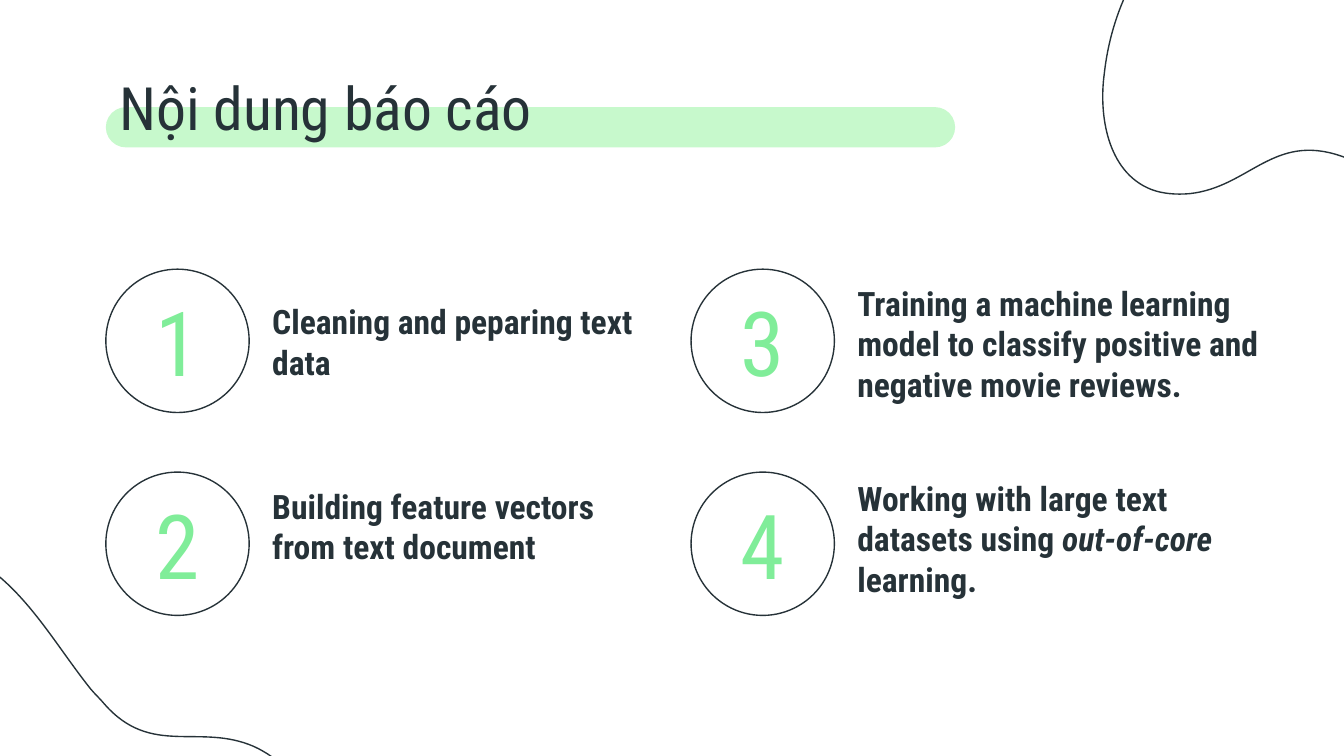
from dataclasses import dataclass

from lxml import etree
from pptx import Presentation
from pptx.dml.color import RGBColor
from pptx.enum import shapes, text
from pptx.oxml import ns
from pptx.util import Pt


@dataclass(frozen=True)
class Theme:
    font: str = "Roboto Condensed"
    ink: RGBColor = RGBColor(0x26, 0x32, 0x38)
    number: RGBColor = RGBColor(0x80, 0xED, 0x99)
    highlight: RGBColor = RGBColor(0xC7, 0xF9, 0xCC)
    title_size: int = 32
    topic_size: int = 18
    number_size: int = 48
    line_width: float = 0.75
    inset: float = 7.2


THEME = Theme()

# Bezier segments of the unturned blob: two control points, then the end.
BLOB_START = (254.8, 0.5)
BLOB_CURVES = [
    ((248.6, 0.5), (241.6, 2.4), (234.5, 5.9)),
    ((206.2, 20.6), (204.5, 52.1), (166.5, 53.6)),
    ((162.6, 53.6), (159, 54.2), (155.1, 54.2)),
    ((137.3, 54), (120.4, 52.1), (104.2, 52.1)),
    ((84, 52.1), (65, 54.8), (44.2, 66.6)),
    ((7.7, 86.1), (0.3, 115.1), (7.7, 148.5)),
    ((19.5, 207.2), (70, 234.1), (127.9, 234.3)),
    ((152.4, 234.1), (178.2, 228.9), (203.1, 219.3)),
    ((282.4, 188.9), (318.9, 119.3), (300.5, 49.2)),
    ((295.5, 28), (280.3, 0.7), BLOB_START),
]

# Runs of (text, italic), distance below the circle's top, width.
TOPICS = [
    ([("Cleaning and peparing text data", False)], 10, 211),
    ([("Building feature vectors from text document", False)], 0.2, 211),
    ([("Training a machine learning model to classify positive and "
       "negative movie reviews.", False)], 0.2, 250.5),
    ([("Working with large text datasets using ", False),
      ("out-of-core", True), (" learning.", False)], -4.1, 211),
]


def place(shape, left, top, width, height):
    shape.left, shape.top = Pt(left), Pt(top)
    shape.width, shape.height = Pt(width), Pt(height)


def outline(shape):
    """Leave only a thin ink line."""
    shape.shadow.inherit = False
    shape.fill.background()
    shape.line.color.rgb = THEME.ink
    shape.line.width = Pt(THEME.line_width)


def format_text(shape, size, color, bold=False, anchor=text.MSO_ANCHOR.TOP,
                align=text.PP_ALIGN.LEFT):
    frame = shape.text_frame
    frame.word_wrap = True
    frame.auto_size = text.MSO_AUTO_SIZE.NONE
    frame.vertical_anchor = anchor
    frame.margin_left = frame.margin_right = Pt(THEME.inset)
    frame.margin_top = frame.margin_bottom = Pt(THEME.inset)
    for paragraph in frame.paragraphs:
        paragraph.alignment = align
        paragraph.space_before = Pt(0)
        for run in paragraph.runs:
            run.font.name = THEME.font
            run.font.size = Pt(size)
            run.font.bold = bold
            run.font.color.rgb = color


def remove_bullet(paragraph):
    properties = paragraph._p.get_or_add_pPr()
    properties.set("marL", "0")
    properties.set("indent", "0")
    etree.SubElement(properties, ns.qn("a:buNone"))


def curve_segments(freeform):
    """Turn each three straight segments into one cubic Bezier."""
    lines = list(freeform._element.iter(ns.qn("a:lnTo")))
    for first in range(0, len(lines), 3):
        curve = etree.Element(ns.qn("a:cubicBezTo"))
        lines[first].addprevious(curve)
        for line in lines[first:first + 3]:
            curve.append(line[0])
            line.getparent().remove(line)


def add_blob(slide, left, top, width, height, rotation):
    builder = slide.shapes.build_freeform(
        *(Pt(value) for value in BLOB_START), scale=1.0)
    builder.add_line_segments(
        [(Pt(x), Pt(y)) for curve in BLOB_CURVES for x, y in curve],
        close=True)
    blob = builder.convert_to_shape()
    curve_segments(blob)
    place(blob, left, top, width, height)
    blob.rotation = rotation
    outline(blob)


def add_heading(slide, left, top, width, height):
    """Title over a highlighter stroke."""
    title = slide.shapes.title
    place(title, left, top, width, height)
    title.text_frame.text = "Nội dung báo cáo"
    format_text(title, THEME.title_size, THEME.ink)

    stroke = slide.shapes.add_shape(
        shapes.MSO_SHAPE.ROUNDED_RECTANGLE,
        Pt(left), Pt(top + 26.8), Pt(455), Pt(21.6))
    stroke.adjustments[0] = 0.5
    stroke.shadow.inherit = False
    stroke.fill.solid()
    stroke.fill.fore_color.rgb = THEME.highlight
    stroke.line.fill.background()
    title._element.addprevious(stroke._element)


def add_topic(slide, body, number, topic, left, top, diameter):
    """Numbered circle with its topic to the right."""
    circle = slide.shapes.add_shape(
        shapes.MSO_SHAPE.OVAL, Pt(left), Pt(top), Pt(diameter), Pt(diameter))
    outline(circle)

    label = slide.shapes.add_textbox(
        Pt(left + 3.5), Pt(top + 10.8), Pt(diameter - 7), Pt(diameter - 21.6))
    label.text_frame.text = str(number)
    format_text(label, THEME.number_size, THEME.number,
                anchor=text.MSO_ANCHOR.MIDDLE, align=text.PP_ALIGN.CENTER)

    runs, drop, width = topic
    place(body, left + diameter + 5.1, top + drop, width, 29.5)
    paragraph = body.text_frame.paragraphs[0]
    for words, italic in runs:
        run = paragraph.add_run()
        run.text = words
        run.font.italic = italic
    format_text(body, THEME.topic_size, THEME.ink, bold=True)
    remove_bullet(paragraph)


def add_topics(slide, left, top, column_step, row_step):
    """Topics in two columns, numbered downwards."""
    bodies = [shape for shape in slide.placeholders
              if shape.placeholder_format.idx > 0]
    for index, (body, topic) in enumerate(zip(bodies, TOPICS)):
        column, row = divmod(index, 2)
        add_topic(slide, body, index + 1, topic,
                  left + column * column_step, top + row * row_step, 76.8)


def main():
    presentation = Presentation()
    presentation.slide_width, presentation.slide_height = Pt(720), Pt(405)
    comparison_layout = presentation.slide_layouts[4]
    slide = presentation.slides.add_slide(comparison_layout)
    add_blob(slide, 588.3, -90.7, 318.2, 234, 201)
    add_blob(slide, -157, 295.2, 318.2, 234, 50.9)
    add_heading(slide, 56.7, 30.6, 607, 48.2)
    add_topics(slide, 56.7, 144.2, 313.5, 108.7)
    presentation.save("out.pptx")


if __name__ == "__main__":
    main()
